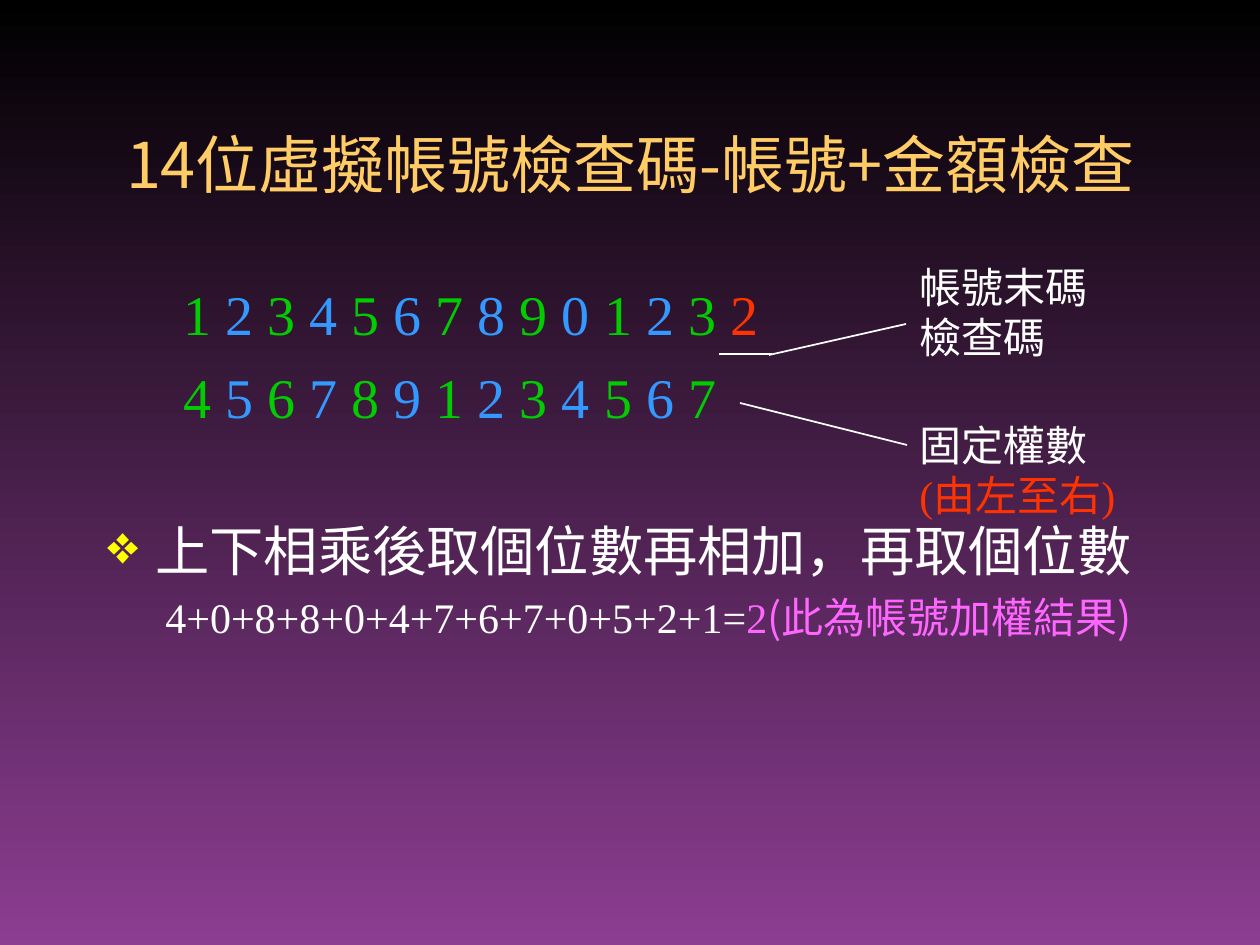
from lxml import etree
from pptx import Presentation
from pptx import util as u
from pptx.dml.color import RGBColor
from pptx.enum import shapes, text
from pptx.oxml.ns import qn

SERIF, SANS = "Times New Roman", "Noto Sans CJK SC"
WHITE, GOLD, YELLOW = "FFFFFF", "FFCC66", "FFFF00"
GREEN, BLUE, RED, PINK = "00CC00", "3399FF", "FF3300", "FF66FF"
BACKGROUND = ("000000", "8C3D91")

TITLE = "14位虛擬帳號檢查碼-帳號+金額檢查"
ACCOUNT, CHECK_DIGIT = "1234567890123", "2"
WEIGHTS = "4567891234567"
RULE = "上下相乘後取個位數再相加，再取個位數"
SUM = [("4+0+8+8+0+4+7+6+7+0+5+2+1=", WHITE, SERIF), ("2", PINK, SERIF),
       ("(此為帳號加權結果)", PINK, SANS)]
LABELS = [
    ((907, 255, 233, 113), [("帳號末碼檢查碼", WHITE)]),
    ((907, 413, 248, 113), [("固定權數", WHITE), ("(由左至右)", RED)]),
]
LINES = [(719, 354, 772, 354), (769, 355, 906, 324), (740, 403, 907, 445)]


def px(n):
    return u.Inches(n / 126)


def rgb(color):
    return RGBColor.from_string(color)


def add_box(s, box, anchor=text.MSO_ANCHOR.TOP):
    tf = s.shapes.add_textbox(*map(px, box)).text_frame
    tf.word_wrap = True
    tf.vertical_anchor = anchor
    return tf


def add_run(p, words, size, color, font=SERIF):
    r = p.add_run()
    r.text = words
    r.font.size, r.font.name = u.Pt(size), font
    r.font.color.rgb = rgb(color)
    etree.SubElement(r.font._element, qn("a:ea"), typeface=SANS)


def indent(p, left, first=0):
    pPr = p._p.get_or_add_pPr()
    pPr.set("marL", str(px(left)))
    pPr.set("indent", str(px(first)))
    return pPr


def add_digits(p, digits, last=""):
    indent(p, 76)
    for i, digit in enumerate(digits):
        gap = " " if last or i < len(digits) - 1 else ""
        add_run(p, digit + gap, 32, (GREEN, BLUE)[i % 2])
    if last:
        add_run(p, last, 32, RED)


def add_bullet(p, char, color):
    pPr = indent(p, 48, -48)
    clr = etree.SubElement(pPr, qn("a:buClr"))
    etree.SubElement(clr, qn("a:srgbClr"), val=color)
    etree.SubElement(pPr, qn("a:buChar"), char=char)


def add_line(s, ends):
    line = s.shapes.add_connector(shapes.MSO_CONNECTOR.STRAIGHT, *map(px, ends))
    line.line.color.rgb = rgb(WHITE)
    line.line.width = u.Pt(1)
    etree.SubElement(line._element.spPr, qn("a:effectLst"))


def main():
    """Build the check-digit slide."""
    prs = Presentation()
    prs.slide_width, prs.slide_height = px(1260), px(945)
    s = prs.slides.add_slide(prs.slide_layouts[6])
    fill = s.background.fill
    fill.gradient()
    fill.gradient_angle = 270
    for stop, color, position in zip(fill.gradient_stops, BACKGROUND, (0, 1)):
        stop.color.rgb, stop.position = rgb(color), position

    p = add_box(s, (95, 84, 1071, 158), text.MSO_ANCHOR.MIDDLE).paragraphs[0]
    p.alignment = text.PP_ALIGN.CENTER
    add_run(p, TITLE, 36, GOLD, SANS)

    tf = add_box(s, (95, 273, 1071, 567))
    account, weights, rule, total = [tf.paragraphs[0]] + [tf.add_paragraph() for _ in range(3)]
    for p, space in ((account, 8), (weights, 9.5), (rule, 50), (total, 5)):
        p.space_before = u.Pt(space)
    add_digits(account, ACCOUNT, CHECK_DIGIT)
    add_digits(weights, WEIGHTS)
    add_bullet(rule, "❖", YELLOW)
    add_run(rule, RULE, 31, WHITE, SANS)
    indent(total, 58)
    for words, color, font in SUM:
        add_run(total, words, 24, color, font)

    for ends in LINES:
        add_line(s, ends)
    for box, rows in LABELS:
        p = add_box(s, box).paragraphs[0]
        p.space_before = u.Pt(15)
        for i, (words, color) in enumerate(rows):
            if i:
                p.add_line_break()
            add_run(p, words, 24, color)
    prs.save("out.pptx")


if __name__ == "__main__":
    main()
